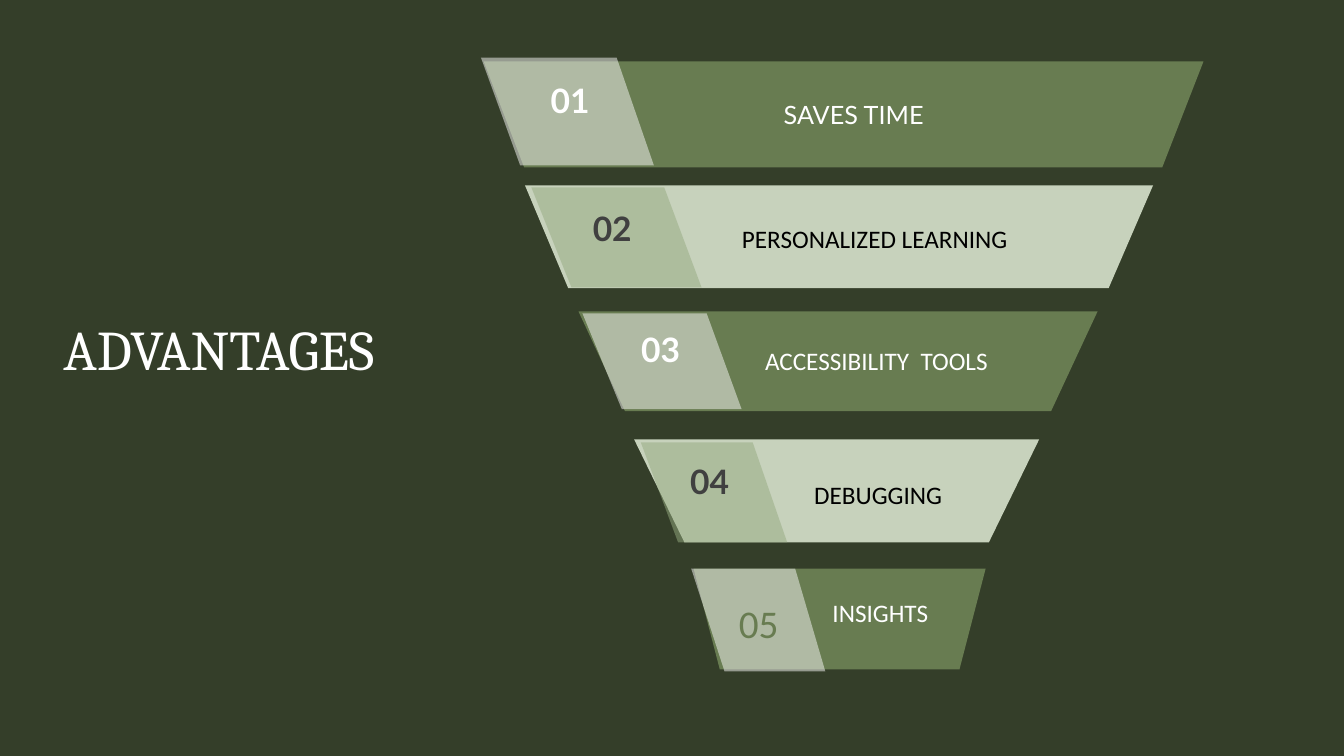
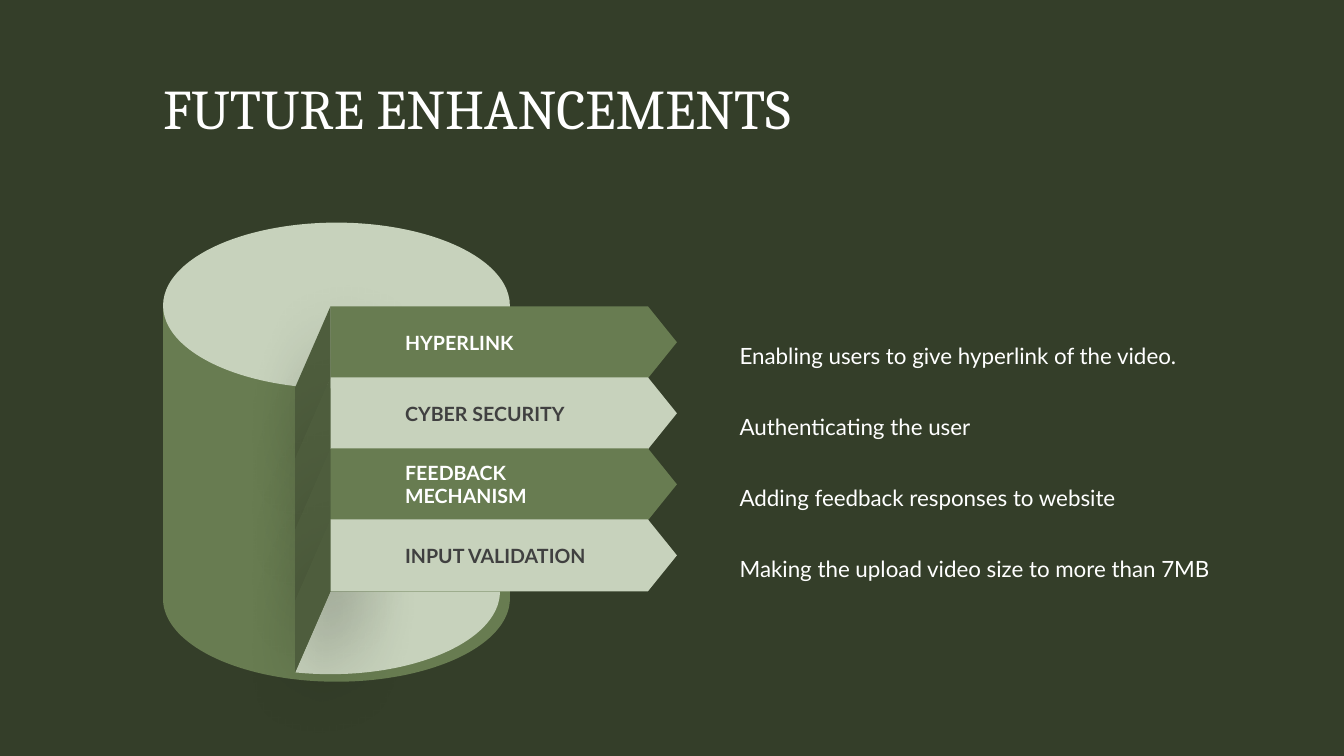
from math import cos, radians, sin

from lxml import etree
from pptx import Presentation
from pptx.dml.color import RGBColor
from pptx.enum.shapes import MSO_SHAPE
from pptx.enum.text import MSO_ANCHOR, PP_ALIGN
from pptx.oxml.ns import qn
from pptx.util import Cm, Pt

LEFT, CENTER = PP_ALIGN.LEFT, PP_ALIGN.CENTER
TOP, MIDDLE = MSO_ANCHOR.TOP, MSO_ANCHOR.MIDDLE
ELLIPSE, BANNER = MSO_SHAPE.OVAL, MSO_SHAPE.PENTAGON

# Shared look
FOREST, MOSS, SAGE, SHADE = "343E29", "687C51", "C7D2BC", "4E5D3D"
MIST, FERN = "F8F8F8", "95AA80"
WHITE, GREY, BLACK = "FFFFFF", "404040", "000000"
TITLE_STYLE = dict(size=40, font="Cambria", anchor=MIDDLE, line_spacing=Pt(44))

# Slide 1, lengths in cm; outlines are
# top, bottom, top left, top right, bottom right, bottom left
NUMBER_STYLE = dict(size=24, bold=True, align=CENTER)
LAST_NUMBER_STYLE = dict(size=28, font="Calibri", color=MOSS)
FUNNEL = [
    dict(tier=(1.55, 4.22, 12.19, 30.33, 29.29, 13.21),
         tag=(1.45, 4.17, 12.12, 15.54, 16.48, 13.11),
         number="01", number_at=(13.28, 2.01, 2.18), number_style=NUMBER_STYLE,
         label="SAVES TIME", label_at=(18.49, 2.51, 6.05),
         label_style=dict(font="Lato", align=CENTER)),
    dict(tier=(4.67, 7.26, 13.23, 29.06, 27.94, 14.32),
         tag=(4.72, 7.24, 13.39, 16.74, 17.68, 14.4),
         number="02", number_at=(14.25, 5.23, 2.36), number_style=NUMBER_STYLE,
         label="PERSONALIZED LEARNING", label_at=(18.64, 5.64, 6.81),
         label_style=dict(font="Calibri", align=CENTER)),
    dict(tier=(7.85, 10.36, 14.58, 27.66, 26.49, 15.75),
         tag=(7.9, 10.31, 14.68, 17.81, 18.69, 15.67),
         number="03", number_at=(15.42, 8.28, 2.46), number_style=NUMBER_STYLE,
         label="ACCESSIBILITY  TOOLS", label_at=(19.28, 8.69, 7),
         label_style=dict(font="Calibri")),
    dict(tier=(11.07, 13.67, 15.98, 26.19, 24.92, 17.25),
         tag=(11.15, 13.67, 16.15, 18.97, 19.84, 17.09),
         number="04", number_at=(16.59, 11.61, 2.59), number_style=NUMBER_STYLE,
         label="DEBUGGING", label_at=(20.52, 12.09, 4),
         label_style=dict(font="Calibri")),
    dict(tier=(14.33, 16.87, 17.48, 24.84, 24.18, 18.14),
         tag=(14.33, 16.92, 17.42, 20.04, 20.8, 18.26),
         number="05", number_at=(18.62, 15.09, 2), number_style=LAST_NUMBER_STYLE,
         label="INSIGHTS", label_at=(20.98, 15.06, 3.2),
         label_style=dict(font="Calibri")),
]
# tier fill, tag fill, number colour, label colour, in turn
FUNNEL_COLORS = [(MOSS, MIST, WHITE, WHITE), (SAGE, FERN, GREY, BLACK)]

# Slide 2, lengths in cm
ENHANCEMENTS = [
    ("HYPERLINK", "Enabling users to give hyperlink of the video."),
    ("CYBER SECURITY", "Authenticating the user"),
    ("FEEDBACK MECHANISM", "Adding feedback responses to website"),
    ("INPUT VALIDATION", "Making the upload video size to more than 7MB"),
]
BANNER_COLORS = [(MOSS, WHITE), (SAGE, GREY)]
DRUM_LEFT, DRUM_TOP, DRUM_BOTTOM = 4.11, 7.7, 15.09
DRUM_RX, DRUM_RY = 4.37, 2.09
FLOOR_RX, FLOOR_RY = 4.27, 2.08
CUT_LEFT, CUT_RIGHT, CUT_DROP = 7.44, 8.33, 2.04
BANNER_TOP, BANNER_PITCH, BANNER_HEIGHT = 7.72, 1.79, 1.81
BANNER_WIDTH, BANNER_TIP = 8.73, 0.73


def rgb(color):
    return RGBColor.from_string(color)


def paint(shape, color, opacity=100):
    shape.shadow.inherit = False
    shape.fill.solid()
    shape.fill.fore_color.rgb = rgb(color)
    shape.line.fill.background()
    if opacity < 100:
        tint = shape.element.spPr.find(".//" + qn("a:srgbClr"))
        etree.SubElement(tint, qn("a:alpha"), val=str(opacity * 1000))
    return shape


def add_outline(slide, points, color, opacity=100):
    """Fill a closed polygon whose points are in cm."""
    corners = [(Cm(x), Cm(y)) for x, y in points]
    builder = slide.shapes.build_freeform(*corners[0], scale=1.0)
    builder.add_line_segments(corners[1:], close=True)
    return paint(builder.convert_to_shape(), color, opacity)


def add_preset(slide, kind, left, top, width, height, color):
    return paint(slide.shapes.add_shape(
        kind, Cm(left), Cm(top), Cm(width), Cm(height)), color)


def write_text(frame, text, size=18, font="Lato", color=WHITE, bold=False,
               align=LEFT, anchor=TOP, line_spacing=None, margins=(0, 0)):
    frame.word_wrap = True
    frame.vertical_anchor = anchor
    frame.margin_left, frame.margin_right = (Cm(m) for m in margins)
    frame.margin_top = frame.margin_bottom = 0
    paragraph = frame.paragraphs[0]
    paragraph.alignment = align
    paragraph.line_spacing = line_spacing
    run = paragraph.add_run()
    run.text = text
    run.font.size = Pt(size)
    run.font.name = font
    run.font.bold = bold
    run.font.color.rgb = rgb(color)


def add_text(slide, text, left, top, width, height=1, **text_format):
    box = slide.shapes.add_textbox(Cm(left), Cm(top), Cm(width), Cm(height))
    write_text(box.text_frame, text, **text_format)


def add_title(slide, text, left, top, width):
    add_text(slide, text, left, top, width, 1.57, **TITLE_STYLE)


def trapezoid(top, bottom, top_left, top_right, bottom_right, bottom_left):
    return [(top_left, top), (top_right, top),
            (bottom_right, bottom), (bottom_left, bottom)]


def arc(center_x, center_y, radius_x, radius_y, end):
    """Points clockwise on an ellipse from 0 (right) to end, in degrees."""
    return [(center_x + radius_x * cos(radians(angle)),
             center_y + radius_y * sin(radians(angle)))
            for angle in range(0, end + 1, 2)]


def cast_shadow(shape):
    effects = shape.element.spPr.find(qn("a:effectLst"))
    shadow = etree.SubElement(
        effects, qn("a:outerShdw"), blurRad=str(Pt(52)), dist=str(Pt(20)),
        dir=str(45 * 60000), algn="tl", rotWithShape="0")
    tint = etree.SubElement(shadow, qn("a:srgbClr"), val=BLACK)
    etree.SubElement(tint, qn("a:alpha"), val="40000")


def build_advantages(slide):
    add_title(slide, "ADVANTAGES", 1.6, 8.05, 10.29)
    for index, step in enumerate(FUNNEL):
        tier_fill, tag_fill, number_color, label_color = FUNNEL_COLORS[index % 2]
        add_outline(slide, trapezoid(*step["tier"]), tier_fill)
        add_outline(slide, trapezoid(*step["tag"]), tag_fill, opacity=50)
        number_style = {"color": number_color, **step["number_style"]}
        add_text(slide, step["number"], *step["number_at"], **number_style)
        add_text(slide, step["label"], *step["label_at"],
                 color=label_color, **step["label_style"])


def build_drum(slide):
    """Draw the cylinder and the floor of its cut."""
    center = DRUM_LEFT + DRUM_RX
    body = arc(center, DRUM_BOTTOM, DRUM_RX, DRUM_RY, 180)
    body += [(DRUM_LEFT, DRUM_TOP), (center + DRUM_RX, DRUM_TOP)]
    add_outline(slide, body, MOSS)
    add_preset(slide, ELLIPSE, DRUM_LEFT, DRUM_TOP - DRUM_RY,
               2 * DRUM_RX, 2 * DRUM_RY, SAGE)
    floor_y = BANNER_TOP + len(ENHANCEMENTS) * BANNER_PITCH + 0.03
    floor = arc(CUT_RIGHT, floor_y, FLOOR_RX, FLOOR_RY, 102)
    add_outline(slide, floor + [(CUT_RIGHT, floor_y)], SAGE)


def build_enhancements(slide):
    add_title(slide, "FUTURE ENHANCEMENTS", 4.11, 1.98, 25.65)
    build_drum(slide)
    tops = [BANNER_TOP + i * BANNER_PITCH for i in range(len(ENHANCEMENTS))]
    for top in tops:
        bottom = top + BANNER_HEIGHT
        cast_shadow(add_outline(slide, [
            (CUT_RIGHT, top), (CUT_LEFT, top + CUT_DROP),
            (CUT_LEFT, bottom + CUT_DROP), (CUT_RIGHT, bottom)], SHADE))
    for index, (top, (name, detail)) in enumerate(zip(tops, ENHANCEMENTS)):
        fill, name_color = BANNER_COLORS[index % 2]
        banner = add_preset(slide, BANNER, CUT_RIGHT, top,
                            BANNER_WIDTH, BANNER_HEIGHT, fill)
        banner.adjustments[0] = BANNER_TIP / BANNER_HEIGHT
        write_text(banner.text_frame, name, size=14, bold=True,
                   color=name_color, anchor=MIDDLE, margins=(1.88, 1.5))
        add_text(slide, detail, 18.64, top + 0.56, 12.2,
                 size=16, line_spacing=1.5)


def main():
    deck = Presentation()
    deck.slide_width, deck.slide_height = Cm(33.87), Cm(19.05)
    background = deck.slide_master.background.fill
    background.solid()
    background.fore_color.rgb = rgb(FOREST)
    blank = deck.slide_layouts[6]
    for build in (build_advantages, build_enhancements):
        build(deck.slides.add_slide(blank))
    deck.save("out.pptx")


if __name__ == "__main__":
    main()
